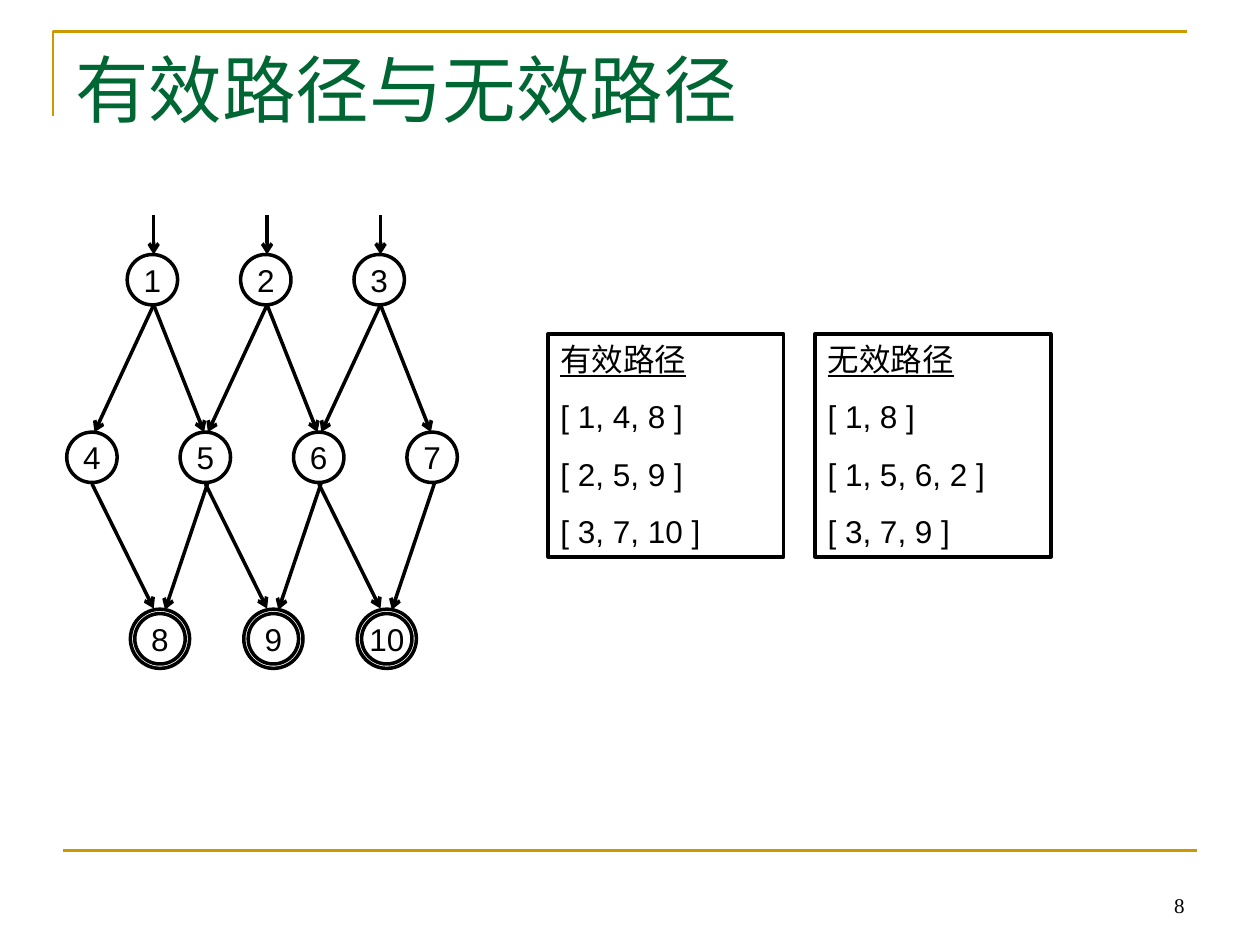
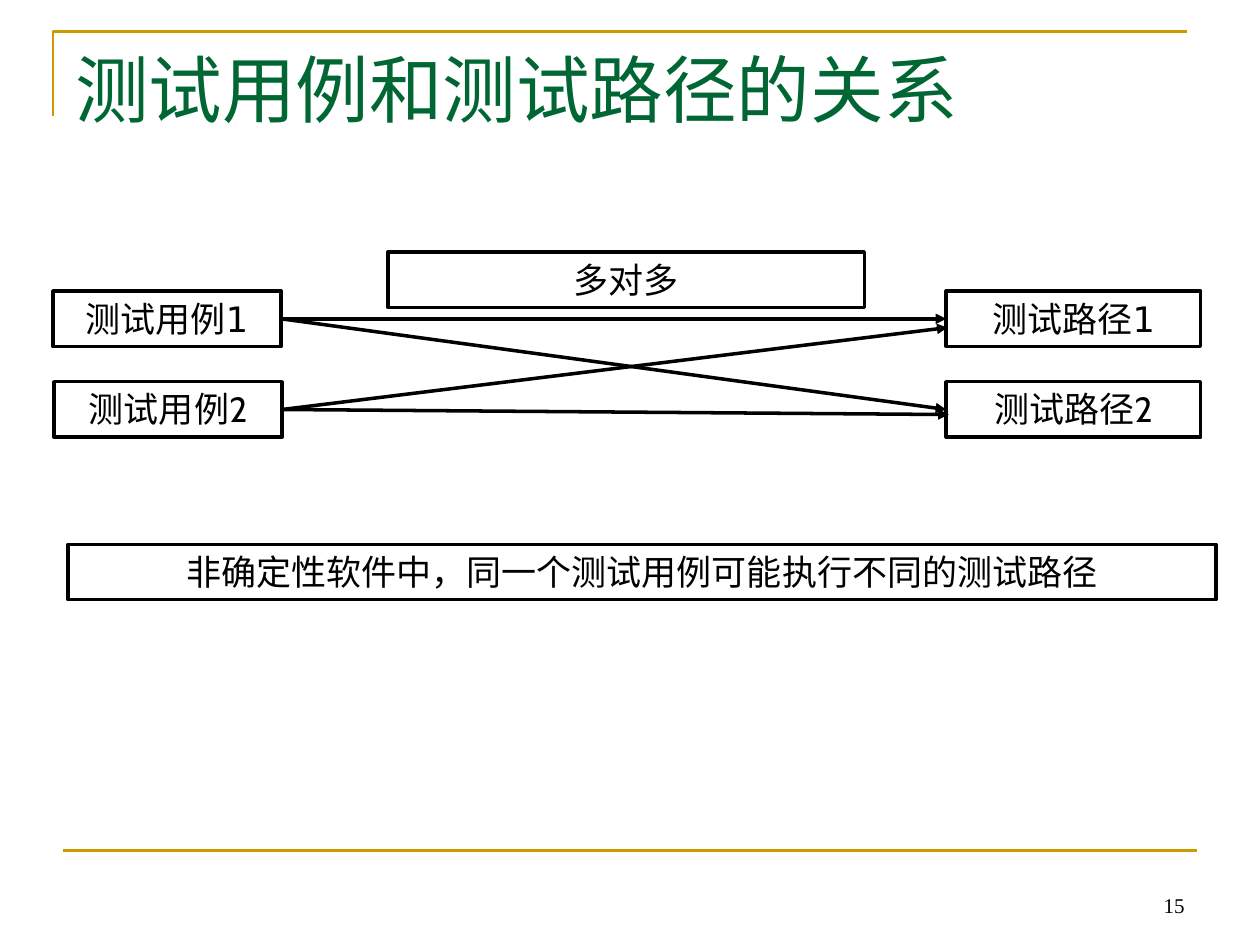
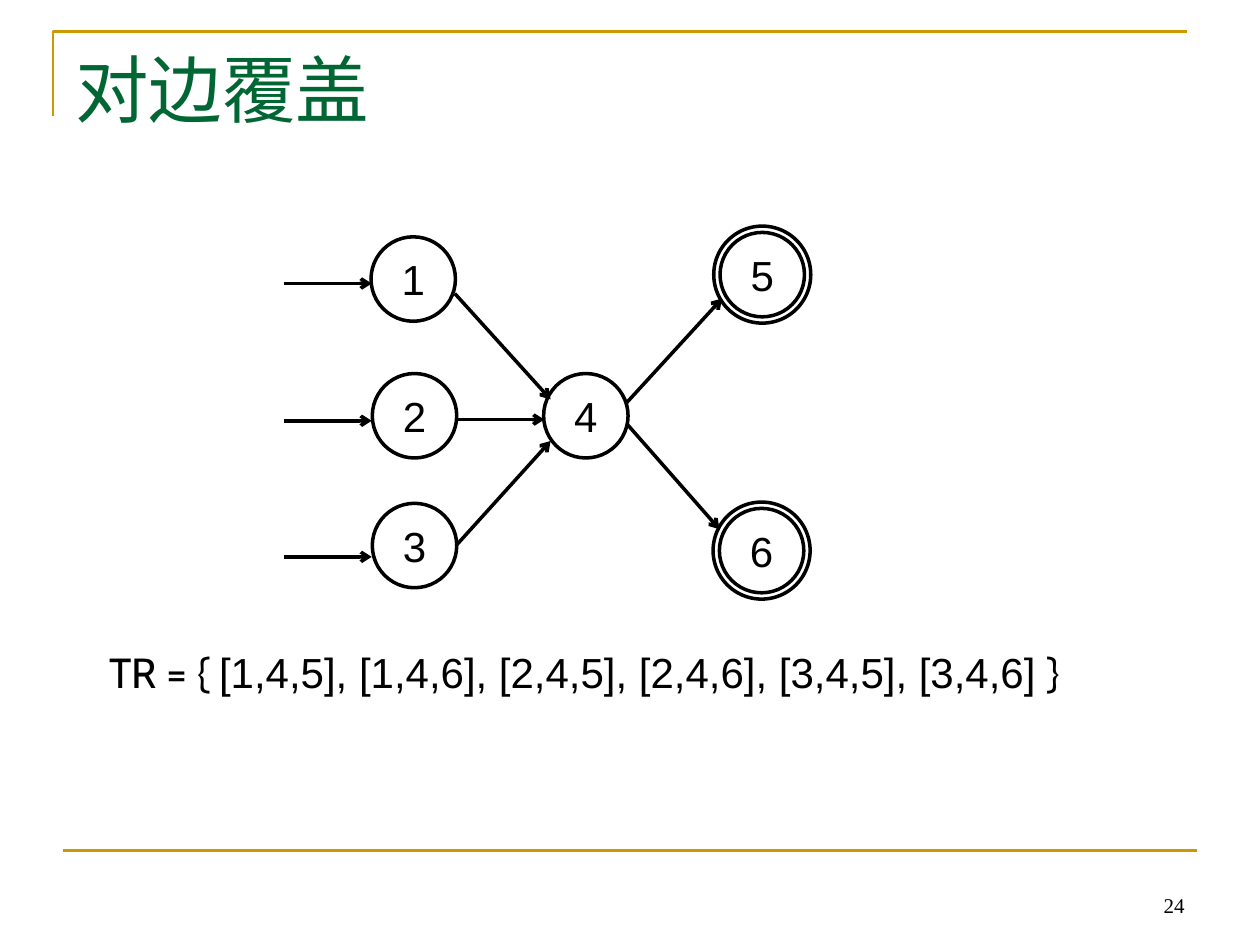
from lxml import etree
from pptx import Presentation
from pptx import util as u
from pptx.dml.color import RGBColor
from pptx.enum import shapes, text
from pptx.oxml.ns import qn

COLORS = {"title": "006633", "rule": "CC9900", "ink": "000000", "paper": "FFFFFF"}
CJK_FONT = "Noto Sans CJK SC"
COLS, ROWS = 100, 75
CELL = u.Inches(0.1)
CENTER = text.PP_ALIGN.CENTER
TOP, MIDDLE, BOTTOM = (text.MSO_ANCHOR.TOP, text.MSO_ANCHOR.MIDDLE,
                       text.MSO_ANCHOR.BOTTOM)
LEFT_SIDE, RIGHT_SIDE = 1, 3


def grid(*cells):
    """Turn grid columns or rows into lengths."""
    return [round(cell * CELL) for cell in cells]


def rgb(name):
    return RGBColor.from_string(COLORS[name])


def outline(shape, color="ink", width=2):
    shape.line.color.rgb = rgb(color)
    shape.line.width = u.Pt(width)


def write(shape, paragraphs, size=20, font="Cabin", color="ink", align=None,
          anchor=TOP, before=0, inset=(1, 0.5), wrap=True):
    """Fill a shape; each paragraph is a list of (text, font overrides)."""
    frame = shape.text_frame
    frame.word_wrap = wrap
    frame.vertical_anchor = anchor
    frame.margin_left = frame.margin_right = grid(inset[0])[0]
    frame.margin_top = frame.margin_bottom = grid(inset[1])[0]
    if isinstance(paragraphs, str):
        paragraphs = [[(paragraphs, {})]]
    for index, pieces in enumerate(paragraphs):
        paragraph = frame.add_paragraph() if index else frame.paragraphs[0]
        paragraph.alignment = align or text.PP_ALIGN.LEFT
        if index:
            paragraph.space_before = u.Pt(before)
        for words, special in pieces:
            run = paragraph.add_run()
            run.text = words
            run.font.size = u.Pt(size)
            run.font.name = special.get("font", font)
            run.font.underline = special.get("underline")
            run.font.color.rgb = rgb(color)
            east_asian = etree.SubElement(run.font._element, qn("a:ea"))
            east_asian.set("typeface", CJK_FONT)


def label(slide, at, words, **style):
    write(slide.shapes.add_textbox(*grid(*at)), words, **style)


def panel(slide, at, words, **style):
    """Add a white, outlined box with text."""
    box = slide.shapes.add_shape(shapes.MSO_SHAPE.RECTANGLE, *grid(*at))
    box.shadow.inherit = False
    box.fill.solid()
    box.fill.fore_color.rgb = rgb("paper")
    outline(box)
    write(box, words, **style)
    return box


def ring(slide, center, diameter):
    x, y = center
    oval = slide.shapes.add_shape(
        shapes.MSO_SHAPE.OVAL,
        *grid(x - diameter / 2, y - diameter / 2, diameter, diameter))
    oval.shadow.inherit = False
    oval.fill.background()
    outline(oval)
    return oval


def node(slide, center, name, diameter, size, final_diameter=None):
    """Add a graph node; a final node gets a second, outer ring."""
    if final_diameter:
        ring(slide, center, final_diameter)
    write(ring(slide, center, diameter), str(name), size=size, font="Arial",
          align=CENTER, anchor=MIDDLE, inset=(0, 0), wrap=False)


def line(slide, start, end, color="ink", width=2, head=None):
    link = slide.shapes.add_connector(shapes.MSO_CONNECTOR.STRAIGHT,
                                      *grid(*start, *end))
    outline(link, color, width)
    if head:
        tail = etree.SubElement(link.line._get_or_add_ln(), qn("a:tailEnd"))
        tail.set("type", head)
    etree.SubElement(link._element.spPr, qn("a:effectLst"))
    return link


def edges(slide, pairs):
    for start, end in pairs:
        line(slide, start, end, head="arrow")


def start_slide(deck, title, number):
    """Add a slide with the shared rules, title and page number."""
    slide = deck.slides.add_slide(deck.slide_layouts[6])
    corner = slide.shapes.build_freeform(*grid(4.2, 9.2))
    corner.add_line_segments([grid(4.2, 2.5), grid(94.2, 2.5)], close=False)
    bracket = corner.convert_to_shape()
    bracket.shadow.inherit = False
    bracket.fill.background()
    outline(bracket, "rule", 1.5)
    line(slide, (5, 67.5), (95, 67.5), "rule", 1.5)
    label(slide, (5, 3, 90, 12.5), title, size=42, font="Times New Roman",
          color="title")
    label(slide, (71.7, 68.3, 23.3, 5), str(number), size=12,
          font="Times New Roman", align=text.PP_ALIGN.RIGHT, anchor=BOTTOM)
    return slide


def path_slide(deck):
    slide = start_slide(deck, "有效路径与无效路径", 8)
    pitch = 9
    layers = [(12.1, 22.2, range(1, 4), None),
              (7.3, 36.3, range(4, 8), None),
              (12.7, 50.7, range(8, 11), 4.7)]
    for first_x, y, names, final_diameter in layers:
        for column, name in enumerate(names):
            node(slide, (first_x + column * pitch, y), name, 4, 18,
                 final_diameter)

    first_edges = [((12.2, 17.1), (12.2, 20.2)),
                   ((12.2, 24.2), (7.5, 34.3)),
                   ((12.2, 24.2), (16.2, 34.3)),
                   ((7.3, 38.4), (12.2, 48.3)),
                   ((16.5, 38.3), (13.1, 48.4))]
    for column in range(3):
        shift = column * pitch
        edges(slide, [((x1 + shift, y1), (x2 + shift, y2))
                      for (x1, y1), (x2, y2) in first_edges])

    lists = [("有效路径", ["[ 1, 4, 8 ]", "[ 2, 5, 9 ]", "[ 3, 7, 10 ]"]),
             ("无效路径", ["[ 1, 8 ]", "[ 1, 5, 6, 2 ]", "[ 3, 7, 9 ]"])]
    for column, (heading, paths) in enumerate(lists):
        paragraphs = [[(heading, {"underline": True})]]
        paragraphs += [[(path, {"font": "Arial"})] for path in paths]
        panel(slide, (43.5 + column * 21.2, 26.5, 18.7, 17.7), paragraphs,
              size=18, before=11.2)


def relation_slide(deck):
    slide = start_slide(deck, "测试用例和测试路径的关系", 15)
    height = 4.4
    digit = ("1", {"font": "DejaVu Sans"})
    case_1, case_2, _, path_1, path_2, _ = [
        panel(slide, (x, y, width, height), words, align=CENTER)
        for x, y, width, words in [
            (4.2, 23.1, 18.1, [[("测试用例", {}), digit]]),
            (4.3, 30.3, 18.1, "测试用例2"),
            (30.8, 20, 37.8, "多对多"),
            (75.1, 23.1, 20.2, [[("测试路径", {"font": CJK_FONT}), digit]]),
            (75.1, 30.3, 20.2, "测试路径2"),
            (5.4, 43.2, 91.1,
             "非确定性软件中，同一个测试用例可能执行不同的测试路径")]]
    for case, path, end in [(case_1, path_1, None), (case_1, path_2, None),
                            (case_2, path_1, (75.2, 26)),
                            (case_2, path_2, (75.3, 32.9))]:
        link = line(slide, (22.4, 32.5), end or (75.1, 32.5), head="triangle")
        link.begin_connect(case, RIGHT_SIDE)
        if not end:
            link.end_connect(path, LEFT_SIDE)


def edge_pair_slide(deck):
    slide = start_slide(deck, "对边覆盖", 24)
    centers = [(32.8, 22.15), (32.9, 33), (32.9, 43.3), (46.5, 33),
               (60.5, 21.8), (60.45, 43.7)]
    for name, center in enumerate(centers, 1):
        node(slide, center, name, 6.7, 24, 7.7 if name > 4 else None)
    edges(slide, [((22.5, y), (29.5, y)) for y in (22.5, 33.4, 44.2)])
    edges(slide, [((36.1, 23.3), (43.7, 31.7)),
                  ((36.1, 33.3), (43.2, 33.3)),
                  ((36.2, 43.3), (43.7, 35)),
                  ((49.7, 32), (57.3, 23.7)),
                  ((49.8, 33.7), (57.1, 42))])
    requirements = "[1,4,5], [1,4,6], [2,4,5], [2,4,6], [3,4,5], [3,4,6] "
    label(slide, (7.7, 50.8, 84.6, 5),
          [[("TR = { ", {}), (requirements, {"font": "Arial"}), ("}", {})]],
          size=24)


def main():
    deck = Presentation()
    deck.slide_width, deck.slide_height = grid(COLS, ROWS)
    path_slide(deck)
    relation_slide(deck)
    edge_pair_slide(deck)
    deck.save("out.pptx")


if __name__ == "__main__":
    main()
